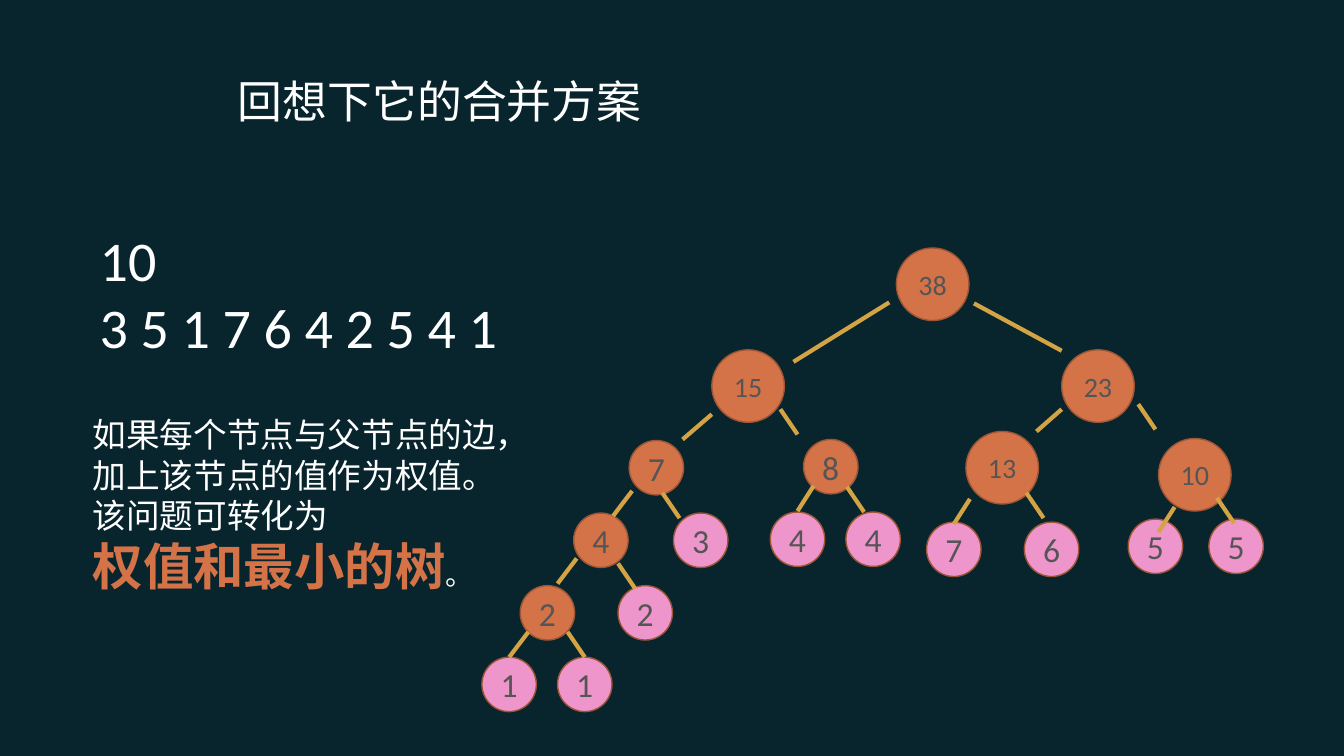
from lxml import etree
from pptx import Presentation
from pptx import util as u
from pptx.dml.color import RGBColor
from pptx.enum import shapes, text
from pptx.oxml import ns

NIGHT = RGBColor(0x08, 0x25, 0x2D)
WHITE = RGBColor(0xFF, 0xFF, 0xFF)
GRAY = RGBColor(0x55, 0x55, 0x55)
PINK = RGBColor(0xEE, 0x96, 0xCC)
RUST = RGBColor(0xD4, 0x73, 0x48)
RIM = RGBColor(0x9D, 0x55, 0x35)
GOLD = RGBColor(0xD4, 0xA4, 0x44)

deck = Presentation()
deck.slide_width = u.Inches(13.33)
deck.slide_height = u.Inches(7.5)
col = deck.slide_width / 133.3
row = deck.slide_height / 75

slide = deck.slides.add_slide(deck.slide_layouts[5])
slide.background.fill.solid()
slide.background.fill.fore_color.rgb = NIGHT


def grid(*spots):
    return [round(spot * (row if i % 2 else col)) for i, spot in enumerate(spots)]


def write(para, words, size, color, name="Calibri", bold=False):
    run = para.add_run()
    run.text = words
    style = {"size": u.Pt(size), "name": name, "bold": bold}
    for key, value in style.items():
        setattr(run.font, key, value)
    run.font.color.rgb = color
    east = etree.SubElement(run.font._element, ns.qn("a:ea"))
    east.set("typeface", "Noto Sans CJK SC")


title = slide.shapes.title
place = dict(zip(("left", "top", "width", "height"), grid(22.6, 6, 79.5, 7.9)))
for key, value in place.items():
    setattr(title, key, value)
title.text_frame.vertical_anchor = text.MSO_ANCHOR.MIDDLE
head = title.text_frame.paragraphs[0]
head.alignment = text.PP_ALIGN.LEFT
write(head, "回想下它的合并方案", 32, WHITE)

notes = [
    ((8.9, 21.9, 43.8, 14.5), [
        [("10", 40, WHITE)],
        [("3 5 1 7 6 4 2 5 4 1", 40, WHITE)],
    ]),
    ((8.2, 40.6, 46.2, 19.2), [
        [("如果每个节点与父节点的边，加上该节点的值作为权值。", 24, WHITE)],
        [("该问题可转化为", 24, WHITE)],
        [("权值和最小的树", 36, RUST, "Noto Sans CJK SC", True), ("。", 20, WHITE)],
    ]),
]
for spots, lines in notes:
    frame = slide.shapes.add_textbox(*grid(*spots)).text_frame
    frame.word_wrap = True
    for i, parts in enumerate(lines):
        para = frame.add_paragraph() if i else frame.paragraphs[0]
        for part in parts:
            write(para, *part)

groups = [
    (PINK, 5.4, 24, [
        (3, 66.8, 50.9), (5, 119.9, 51.5), (1, 47.8, 65.2), (7, 91.9, 51.8),
        (6, 101.6, 51.8), (4, 83.9, 50.8), (5, 111.9, 51.5), (4, 76.4, 50.8),
        (1, 55.3, 65.2), (2, 61.3, 58.1),
    ]),
    (RUST, 5.4, 24, [
        (2, 51.6, 58.1), (4, 56.9, 50.9), (7, 62.4, 43.7), (8, 79.7, 43.6),
    ]),
    (RUST, 7.2, 20, [
        (10, 114.9, 43.5), (13, 95.8, 42.8), (15, 70.6, 34.7),
        (23, 105.3, 34.7), (38, 88.9, 24.6),
    ]),
]
for color, span, size, nodes in groups:
    for value, x, y in nodes:
        node = slide.shapes.add_shape(shapes.MSO_SHAPE.OVAL, *grid(x, y, span, span))
        node.shadow.inherit = False
        node.fill.solid()
        node.fill.fore_color.rgb = color
        node.line.color.rgb = RIM
        node.line.width = u.Pt(1)
        node.text_frame.vertical_anchor = text.MSO_ANCHOR.MIDDLE
        para = node.text_frame.paragraphs[0]
        para.alignment = text.PP_ALIGN.CENTER
        write(para, str(value), size, GRAY)

edges = [
    (1.9, -2.5, [(50.5, 65.2), (55.3, 57.9), (60.8, 51.2)]),
    (1.6, -2.5, [(79.1, 50.7), (94.6, 52), (114.9, 52.8)]),
    (-1.7, -2.5, [
        (58, 65.2), (63, 58.4), (67.4, 51.4), (79.1, 43.1),
        (85.7, 50.8), (114.6, 42.6), (122.4, 51.9), (103.5, 51.4),
    ]),
    (2.9, -2.5, [(67.7, 43.6)]),
    (2.5, -2.2, [(102.8, 42.8)]),
    (9.5, -5.9, [(78.7, 35.9)]),
    (-8.7, -4.7, [(105.3, 34.8)]),
]
for dx, dy, starts in edges:
    for x, y in starts:
        edge = slide.shapes.add_connector(
            shapes.MSO_CONNECTOR.STRAIGHT, *grid(x, y, x + dx, y + dy))
        edge.line.color.rgb = GOLD
        edge.line.width = u.Pt(3)
        etree.SubElement(edge._element.spPr, ns.qn("a:effectLst"))

deck.save("out.pptx")
